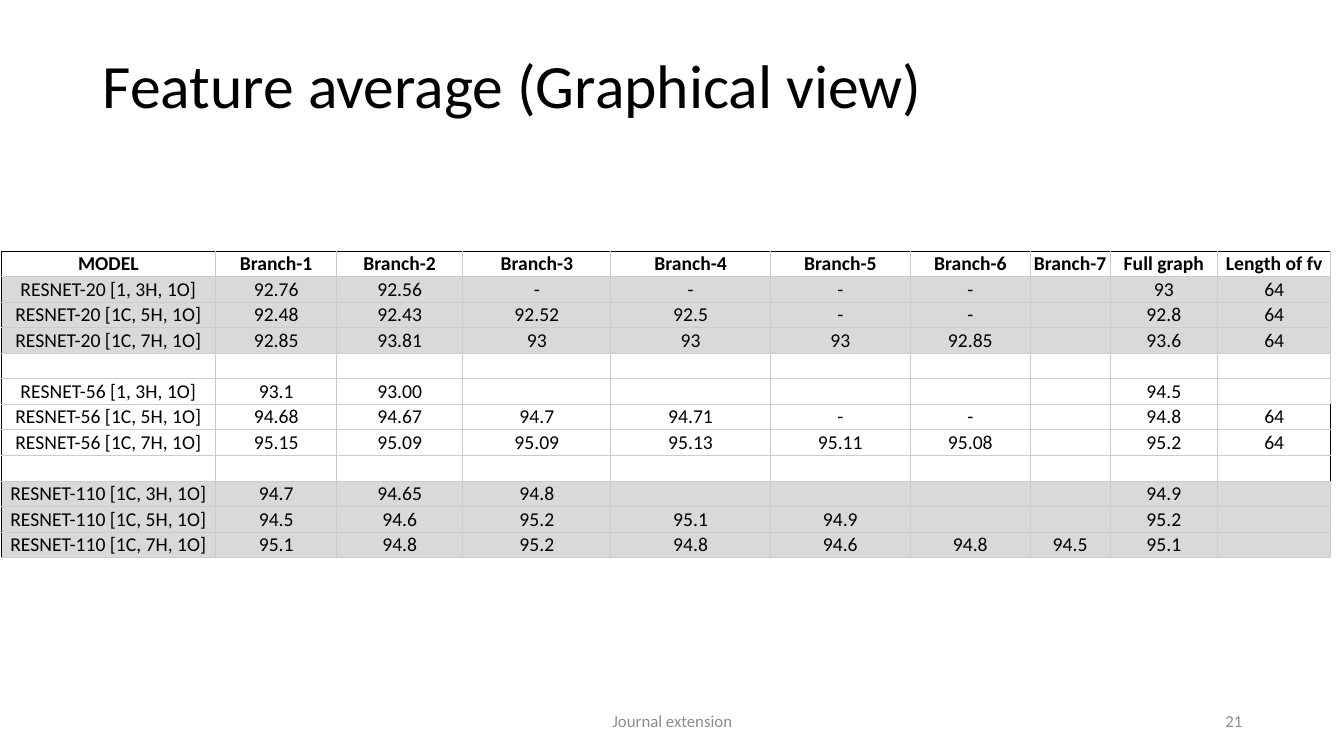
from lxml import etree
from pptx import Presentation
from pptx import util as u
from pptx.dml.color import RGBColor
from pptx.enum import text
from pptx.oxml.ns import qn

BLACK, WHITE, GREY, RULE, MUTED = "000000", "FFFFFF", "D9D9D9", "CCCCCC", "8C8C8C"
CENTER, LEFT, RIGHT = text.PP_ALIGN.CENTER, text.PP_ALIGN.LEFT, text.PP_ALIGN.RIGHT
MIDDLE, BOTTOM = text.MSO_ANCHOR.MIDDLE, text.MSO_ANCHOR.BOTTOM

COLUMN_WIDTHS = [2.13, 1.2, 1.25, 1.47, 1.58, 1.39, 1.19, 0.79, 1.07, 1.12]
ROW_HEIGHT = 0.25
ROWS = [
    ["MODEL", *[f"Branch-{n}" for n in range(1, 8)], "Full graph", "Length of fv"],
    ["RESNET-20 [1, 3H, 1O]", "92.76", "92.56", "-", "-", "-", "-", "", "93", "64"],
    ["RESNET-20 [1C, 5H, 1O]", "92.48", "92.43", "92.52", "92.5", "-", "-", "", "92.8", "64"],
    ["RESNET-20 [1C, 7H, 1O]", "92.85", "93.81", "93", "93", "93", "92.85", "", "93.6", "64"],
    [""] * 10,
    ["RESNET-56 [1, 3H, 1O]", "93.1", "93.00", "", "", "", "", "", "94.5", ""],
    ["RESNET-56 [1C, 5H, 1O]", "94.68", "94.67", "94.7", "94.71", "-", "-", "", "94.8", "64"],
    ["RESNET-56 [1C, 7H, 1O]", "95.15", "95.09", "95.09", "95.13", "95.11", "95.08", "", "95.2", "64"],
    [""] * 10,
    ["RESNET-110 [1C, 3H, 1O]", "94.7", "94.65", "94.8", "", "", "", "", "94.9", ""],
    ["RESNET-110 [1C, 5H, 1O]", "94.5", "94.6", "95.2", "95.1", "94.9", "", "", "95.2", ""],
    ["RESNET-110 [1C, 7H, 1O]", "95.1", "94.8", "95.2", "94.8", "94.6", "94.8", "94.5", "95.1", ""],
]
SHADED_ROWS = {1, 2, 3, 9, 10, 11}
RIGHT_EDGE_ROWS = {6, 7, 8}


def rgb(value):
    return RGBColor.from_string(value)


class Deck:
    font = "Calibri"

    def __init__(self, prs):
        self.slide = prs.slides.add_slide(prs.slide_layouts[5])

    def paragraph(self, tf, content, size, color, align, bold=False):
        p = tf.paragraphs[0]
        p.alignment = align
        if content:
            r = p.add_run()
            r.text = content
            r.font.name, r.font.size, r.font.bold = self.font, u.Pt(size), bold
            r.font.color.rgb = rgb(color)
        else:
            etree.SubElement(p._p, qn("a:endParaRPr"), sz=str(size * 100))
        return p

    def title(self, content, left, top, width, height):
        s = self.slide.shapes.title
        s.left, s.top = u.Inches(left), u.Inches(top)
        s.width, s.height = u.Inches(width), u.Inches(height)
        tf = s.text_frame
        tf.auto_size = text.MSO_AUTO_SIZE.NONE
        tf.vertical_anchor = MIDDLE
        p = self.paragraph(tf, content, 44, BLACK, LEFT)
        p.line_spacing = 0.9

    def footer(self, content, left, width, align):
        s = self.slide.shapes.add_textbox(
            u.Inches(left), u.Inches(6.95), u.Inches(width), u.Inches(0.4))
        s.text_frame.word_wrap = True
        s.text_frame.vertical_anchor = MIDDLE
        self.paragraph(s.text_frame, content, 12, MUTED, align)

    def borders(self, cell, colors):
        tc_pr = cell._tc.get_or_add_tcPr()
        for side, color in zip("LRTB", colors):
            ln = etree.SubElement(tc_pr, qn(f"a:ln{side}"), w=str(u.Pt(0.75)))
            fill = etree.SubElement(ln, qn("a:solidFill"))
            etree.SubElement(fill, qn("a:srgbClr"), val=color)

    def cell(self, cell, content, row, col):
        cell.margin_left = cell.margin_right = u.Inches(0.01)
        cell.margin_top = cell.margin_bottom = u.Inches(0.01)
        cell.vertical_anchor = MIDDLE if col == 0 and row else BOTTOM
        last = len(COLUMN_WIDTHS) - 1
        self.borders(cell, [
            BLACK if col == 0 else RULE,
            BLACK if col == last and row in RIGHT_EDGE_ROWS else RULE,
            BLACK if row == 0 else RULE,
            RULE,
        ])
        cell.fill.solid()
        cell.fill.fore_color.rgb = rgb(GREY if row in SHADED_ROWS else WHITE)
        self.paragraph(cell.text_frame, content, 14, BLACK, CENTER, bold=row == 0)

    def table(self, rows, left, top):
        table = self.slide.shapes.add_table(
            len(rows), len(COLUMN_WIDTHS), u.Inches(left), u.Inches(top),
            u.Inches(sum(COLUMN_WIDTHS)), u.Inches(ROW_HEIGHT * len(rows))).table
        table.first_row = table.horz_banding = False
        for column, width in zip(table.columns, COLUMN_WIDTHS):
            column.width = u.Inches(width)
        for row, values in enumerate(rows):
            table.rows[row].height = u.Inches(ROW_HEIGHT)
            for col, value in enumerate(values):
                self.cell(table.cell(row, col), value, row, col)


def main():
    prs = Presentation()
    prs.slide_width, prs.slide_height = u.Inches(13.33), u.Inches(7.5)
    deck = Deck(prs)
    deck.footer("Journal extension", 4.42, 4.5, CENTER)
    deck.footer("21", 9.42, 3, RIGHT)
    deck.table(ROWS, 0.01, 2.49)
    deck.title("Feature average (Graphical view)", 0.92, 0.15, 11.5, 1.45)
    prs.save("out.pptx")


if __name__ == "__main__":
    main()
